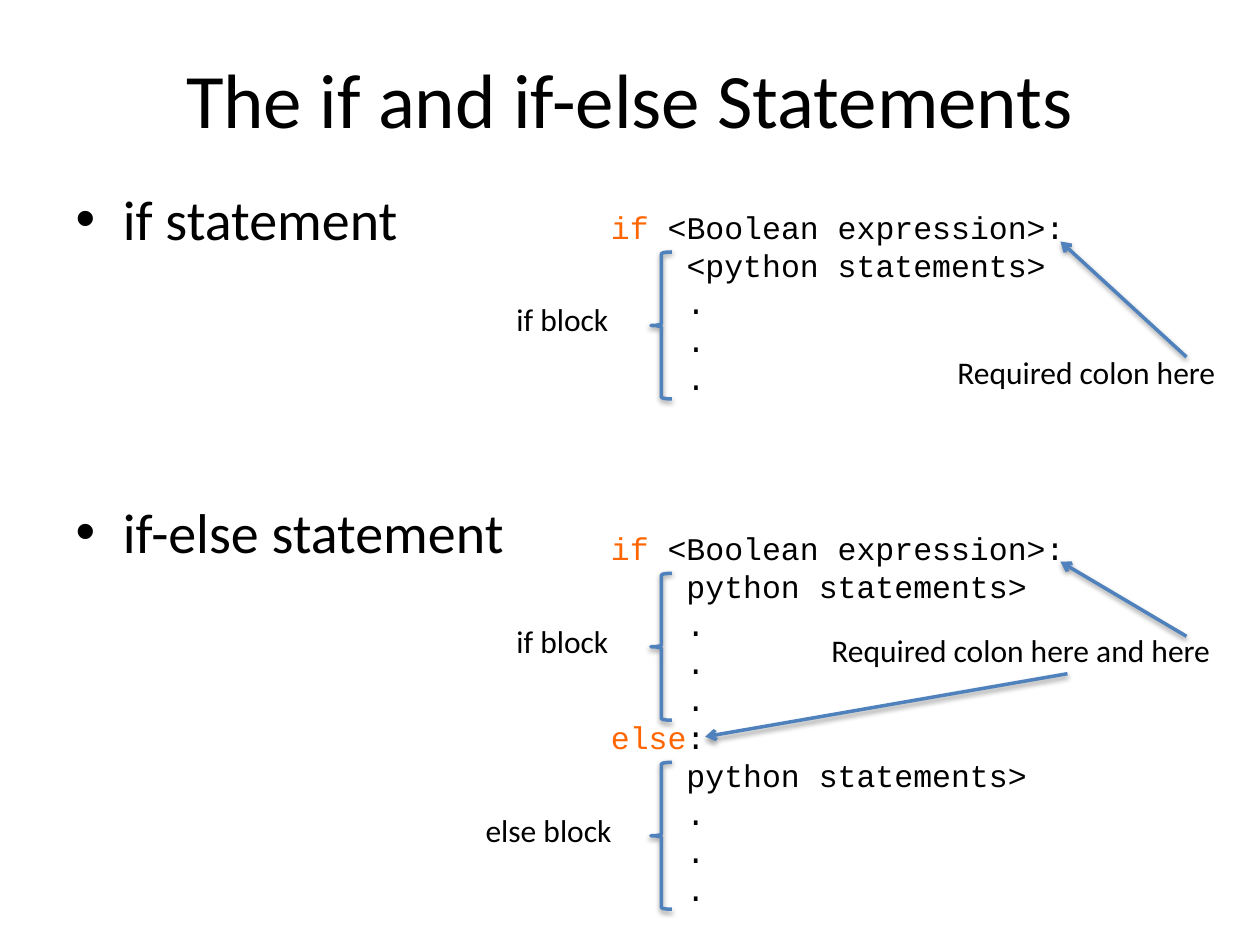
from lxml import etree
from pptx import Presentation
from pptx.dml.color import RGBColor
from pptx.enum import shapes, text
from pptx.oxml import ns
from pptx.util import Pt

BLUE, BLACK, ORANGE = "4F81BD", "000000", "FF6600"
DOTS = [[("    .", BLACK)]] * 3
HEAD = [("if", ORANGE), (" <Boolean expression>:", BLACK)]


def tint(hue):
    return RGBColor.from_string(hue)


def sub(node, tag, **attrs):
    return etree.SubElement(node, ns.qn(tag), attrs)


def add_run(para, words, size, face="Calibri", hue=BLACK):
    run = para.add_run()
    run.text = words
    run.font.size = Pt(size)
    run.font.name = face
    run.font.color.rgb = tint(hue)


def place(shape, box):
    shape.left, shape.top, shape.width, shape.height = map(Pt, box)


def trim(shape):
    """Blue line with a soft shadow below it."""
    shape.line.color.rgb = tint(BLUE)
    shape.line.width = Pt(2)
    glow = sub(shape.element.spPr, "a:effectLst")
    drop = sub(glow, "a:outerShdw", blurRad=str(Pt(3.1)), dist=str(Pt(1.6)),
               dir="5400000", rotWithShape="0")
    hue = sub(drop, "a:srgbClr", val=BLACK)
    sub(hue, "a:alpha", val="38000")


def add_label(slide, words, box):
    label = slide.shapes.add_textbox(*map(Pt, box))
    frame = label.text_frame
    frame.word_wrap = True
    frame.margin_right = 0
    add_run(frame.paragraphs[0], words, 18)


def add_brace(slide, box):
    brace = slide.shapes.add_shape(shapes.MSO_SHAPE.RIGHT_BRACE, *map(Pt, box))
    brace.element.spPr.find(ns.qn("a:xfrm")).set("flipH", "1")
    brace.fill.background()
    trim(brace)


def add_arrow(slide, start, end):
    arrow = slide.shapes.add_connector(
        shapes.MSO_CONNECTOR.STRAIGHT, *map(Pt, start + end))
    trim(arrow)
    sub(arrow.line._get_or_add_ln(), "a:tailEnd", type="arrow")


def add_title(slide, box):
    title = slide.shapes.title
    place(title, box)
    frame = title.text_frame
    frame.vertical_anchor = text.MSO_ANCHOR.MIDDLE
    para = frame.paragraphs[0]
    para.alignment = text.PP_ALIGN.CENTER
    add_run(para, "The if and if-else Statements", 44)


def add_list(slide, box):
    body = slide.placeholders[1]
    place(body, box)
    frame = body.text_frame
    gaps = (("if statement", 0), ("if-else statement", 140.5))
    for i, (words, gap) in enumerate(gaps):
        para = frame.add_paragraph() if i else frame.paragraphs[0]
        para.space_before = Pt(gap)
        add_run(para, words, 32)


def add_code(slide, box, lines, names):
    """Code listing, with a labelled brace beside each indented block."""
    x, y, _, _ = box
    code = slide.shapes.add_textbox(*map(Pt, box))
    frame = code.text_frame
    frame.word_wrap = True
    frame.margin_top = Pt(4.6)
    for i, line in enumerate(lines):
        para = frame.add_paragraph() if i else frame.paragraphs[0]
        para.line_spacing = Pt(21.65)
        for words, hue in line:
            add_run(para, words, 18, "Courier New", hue)
    for i, (name, wide) in enumerate(names):
        top = y + 30 + 108 * i
        add_brace(slide, (x + 30, top, 12, 84))
        add_label(slide, name, (x - 54 - (wide - 68) * 0.8, top + 24, wide, 29))


def main():
    deck = Presentation()
    deck.slide_width, deck.slide_height = Pt(720), Pt(540)
    slide = deck.slides.add_slide(deck.slide_layouts[1])
    add_title(slide, (36, 21.6, 648, 68.4))
    add_list(slide, (36, 102, 648, 402))

    # if statement
    first = [HEAD, [("    <python statements>", BLACK)]] + DOTS
    add_code(slide, (342, 114, 312, 138), first, [("if block", 68)])
    add_label(slide, "Required colon here", (540, 198, 168, 29))
    add_arrow(slide, (678, 204), (606, 138))

    # if-else statement
    block = [[("    python statements>", BLACK)]] + DOTS
    other = [("else", ORANGE), (":", BLACK)]
    add_code(slide, (342, 297.6, 324, 247), [HEAD] + block + [other] + block,
             [("if block", 68), ("else block", 90)])
    add_label(slide, "Required colon here and here", (468, 357, 234, 29))
    add_arrow(slide, (678, 363.6), (606, 321))
    add_arrow(slide, (610, 385), (403, 421))

    deck.save("out.pptx")


if __name__ == "__main__":
    main()
